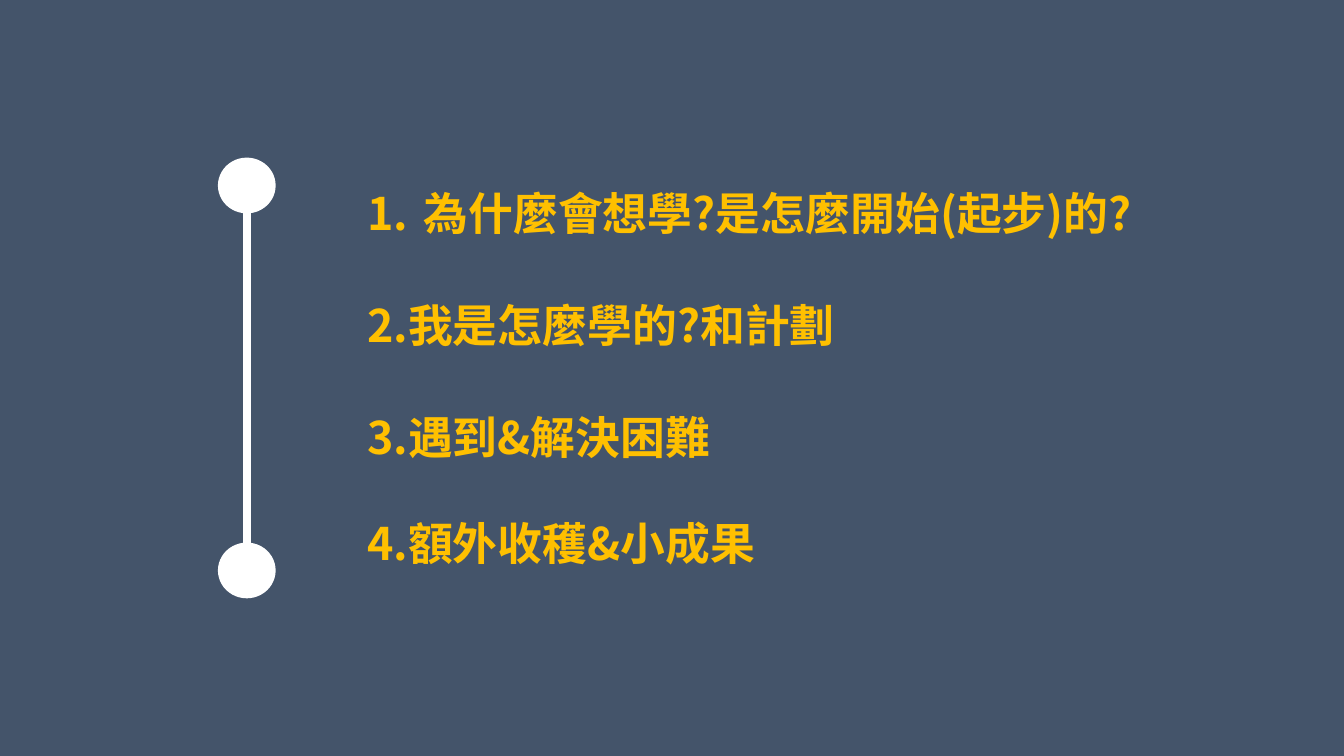
from lxml.etree import SubElement as Sub
from pptx import Presentation
from pptx.dml.color import RGBColor
from pptx.enum.shapes import MSO_CONNECTOR as Link, MSO_SHAPE as Form
from pptx.oxml.ns import qn
from pptx.util import Cm, Pt

SLATE = RGBColor(0x44, 0x54, 0x6A)
WHITE = RGBColor(0xFF, 0xFF, 0xFF)
GOLD = RGBColor(0xFF, 0xC0, 0x00)
FONT = "Noto Sans CJK SC"
TOPICS = [
    (4.55, 23.34, "為什麼會想學?是怎麼開始(起步)的?", True),
    (7.37, 15.9, "2.我是怎麼學的?和計劃", False),
    (10.21, 15.9, "3.遇到&解決困難", False),
    (12.88, 15.9, "4.額外收穫&小成果", False),
]


def add_dot(group, top):
    """Add a white end dot to the group and return it."""
    dot = group.shapes.add_shape(Form.OVAL, Cm(5.51), Cm(top), Cm(1.42), Cm(1.37))
    dot.shadow.inherit = False
    dot.fill.solid()
    dot.fill.fore_color.rgb = WHITE
    dot.line.color.rgb = WHITE
    dot.line.width = Pt(1)
    return dot


def add_bar(group, start, end):
    """Join two dots with a thick white line."""
    bar = group.shapes.add_connector(Link.STRAIGHT, 0, 0, 0, 0)
    bar.begin_connect(start, 2)
    bar.end_connect(end, 0)
    bar.line.color.rgb = WHITE
    bar.line.width = Pt(6)
    Sub(bar._element.spPr, qn("a:effectLst"))


def add_topic(slide, top, width, text, auto):
    """Add one topic line, numbered automatically on request."""
    box = slide.shapes.add_textbox(Cm(9), Cm(top), Cm(width), Cm(1.63))
    box.text_frame.word_wrap = True
    para = box.text_frame.paragraphs[0]
    para.text = text
    props = para._p.get_or_add_pPr()
    if auto:
        props.set("marL", str(Cm(1.43)))
        props.set("indent", str(-Cm(1.43)))
        Sub(props, qn("a:buAutoNum"), type="arabicPeriod")
    font = para.font
    font.size = Pt(32)
    font.bold = True
    font.color.rgb = GOLD
    font.name = FONT
    Sub(props.find(qn("a:defRPr")), qn("a:ea"), typeface=FONT)


def main():
    """Build and save the slide."""
    deck = Presentation()
    deck.slide_width, deck.slide_height = Cm(33.87), Cm(19.05)
    slide = deck.slides.add_slide(deck.slide_layouts[6])
    back = slide.background.fill
    back.solid()
    back.fore_color.rgb = SLATE
    group = slide.shapes.add_group_shape()
    start, end = [add_dot(group, top) for top in (3.99, 13.69)]
    add_bar(group, start, end)
    for topic in TOPICS:
        add_topic(slide, *topic)
    deck.save("out.pptx")


if __name__ == "__main__":
    main()
